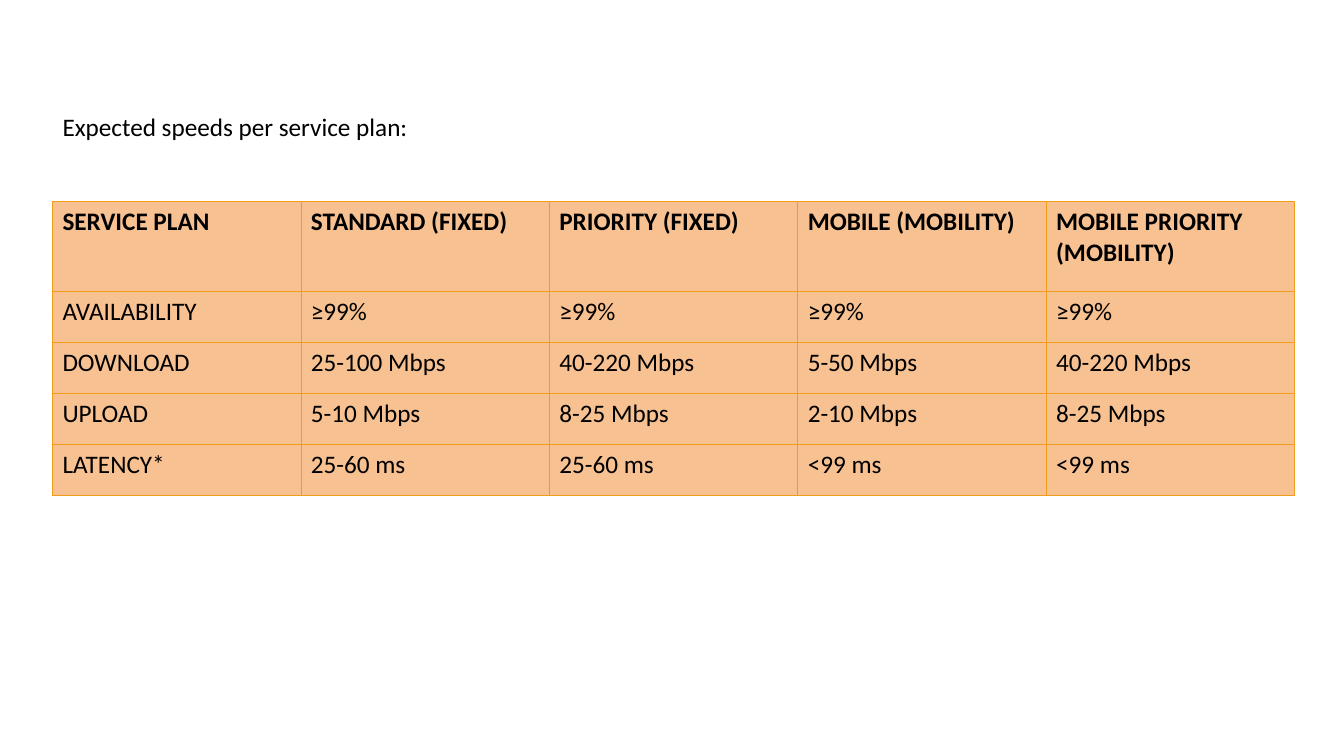
from dataclasses import dataclass

from lxml import etree
from pptx import Presentation
from pptx import util as u
from pptx.dml import color
from pptx.enum import text
from pptx.oxml import ns


@dataclass(frozen=True)
class Theme:
    font: str = "Calibri"
    size: int = 18
    ink: str = "000000"
    cell: str = "F8C192"
    border: str = "F19D19"
    border_width: float = 0.5


THEME = Theme()
TITLE_ONLY = 5
WIDTH, HEIGHT = u.Inches(13.33), u.Inches(7.5)
HEADER_SHARE = 0.89 / 2.93

PLANS = [
    ["SERVICE PLAN", "STANDARD (FIXED)", "PRIORITY (FIXED)", "MOBILE (MOBILITY)", "MOBILE PRIORITY (MOBILITY)"],
    ["AVAILABILITY", "≥99%", "≥99%", "≥99%", "≥99%"],
    ["DOWNLOAD", "25-100 Mbps", "40-220 Mbps", "5-50 Mbps", "40-220 Mbps"],
    ["UPLOAD", "5-10 Mbps", "8-25 Mbps", "2-10 Mbps", "8-25 Mbps"],
    ["LATENCY*", "25-60 ms", "25-60 ms", "<99 ms", "<99 ms"],
]


def format_paragraph(paragraph, bold=False):
    paragraph.alignment = text.PP_ALIGN.LEFT
    paragraph.font.name = THEME.font
    paragraph.font.size = u.Pt(THEME.size)
    paragraph.font.bold = bold
    paragraph.font.color.rgb = color.RGBColor.from_string(THEME.ink)


def add_borders(cell):
    properties = cell._tc.get_or_add_tcPr()
    for side in ("lnL", "lnR", "lnT", "lnB"):
        line = etree.SubElement(properties, ns.qn(f"a:{side}"), w=str(u.Pt(THEME.border_width)))
        fill = etree.SubElement(line, ns.qn("a:solidFill"))
        etree.SubElement(fill, ns.qn("a:srgbClr"), val=THEME.border)


def place_title(slide, wording, left, top, width, height):
    title = slide.shapes.title
    title.left, title.top, title.width, title.height = left, top, width, height
    frame = title.text_frame
    frame.text = wording
    frame.word_wrap = False
    frame.auto_size = text.MSO_AUTO_SIZE.SHAPE_TO_FIT_TEXT
    frame.vertical_anchor = text.MSO_ANCHOR.TOP
    format_paragraph(frame.paragraphs[0])


def place_plan_table(slide, rows, left, top, width, height):
    table = slide.shapes.add_table(len(rows), len(rows[0]), left, top, width, height).table
    table.horz_banding = False
    for column in table.columns:
        column.width = width // len(rows[0])
    header_height = int(height * HEADER_SHARE)
    for row_index, values in enumerate(rows):
        is_header = row_index == 0
        body_height = (height - header_height) // (len(rows) - 1)
        table.rows[row_index].height = header_height if is_header else body_height
        for column_index, value in enumerate(values):
            cell = table.cell(row_index, column_index)
            cell.text = value
            add_borders(cell)
            cell.fill.solid()
            cell.fill.fore_color.rgb = color.RGBColor.from_string(THEME.cell)
            format_paragraph(cell.text_frame.paragraphs[0], bold=is_header)


def build_plan_slide(presentation):
    slide = presentation.slides.add_slide(presentation.slide_layouts[TITLE_ONLY])
    left = u.Inches(0.52)
    place_title(slide, "Expected speeds per service plan:",
                left, int(HEIGHT * 0.14), u.Inches(3.67), u.Inches(0.4))
    place_plan_table(slide, PLANS, left, u.Inches(2), u.Inches(12.32), u.Inches(2.92))


def main():
    presentation = Presentation()
    presentation.slide_width, presentation.slide_height = WIDTH, HEIGHT
    build_plan_slide(presentation)
    presentation.save("out.pptx")


if __name__ == "__main__":
    main()
